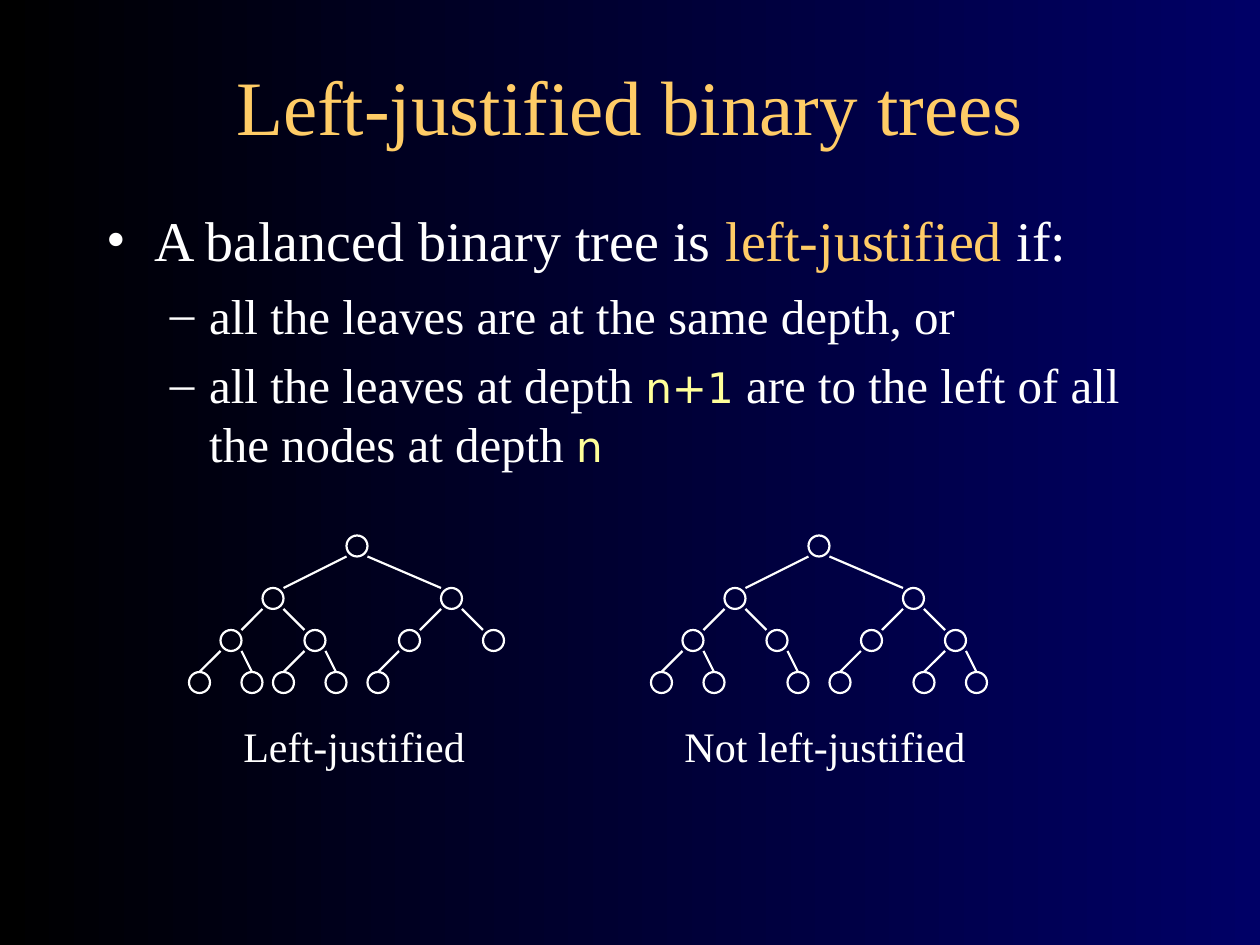
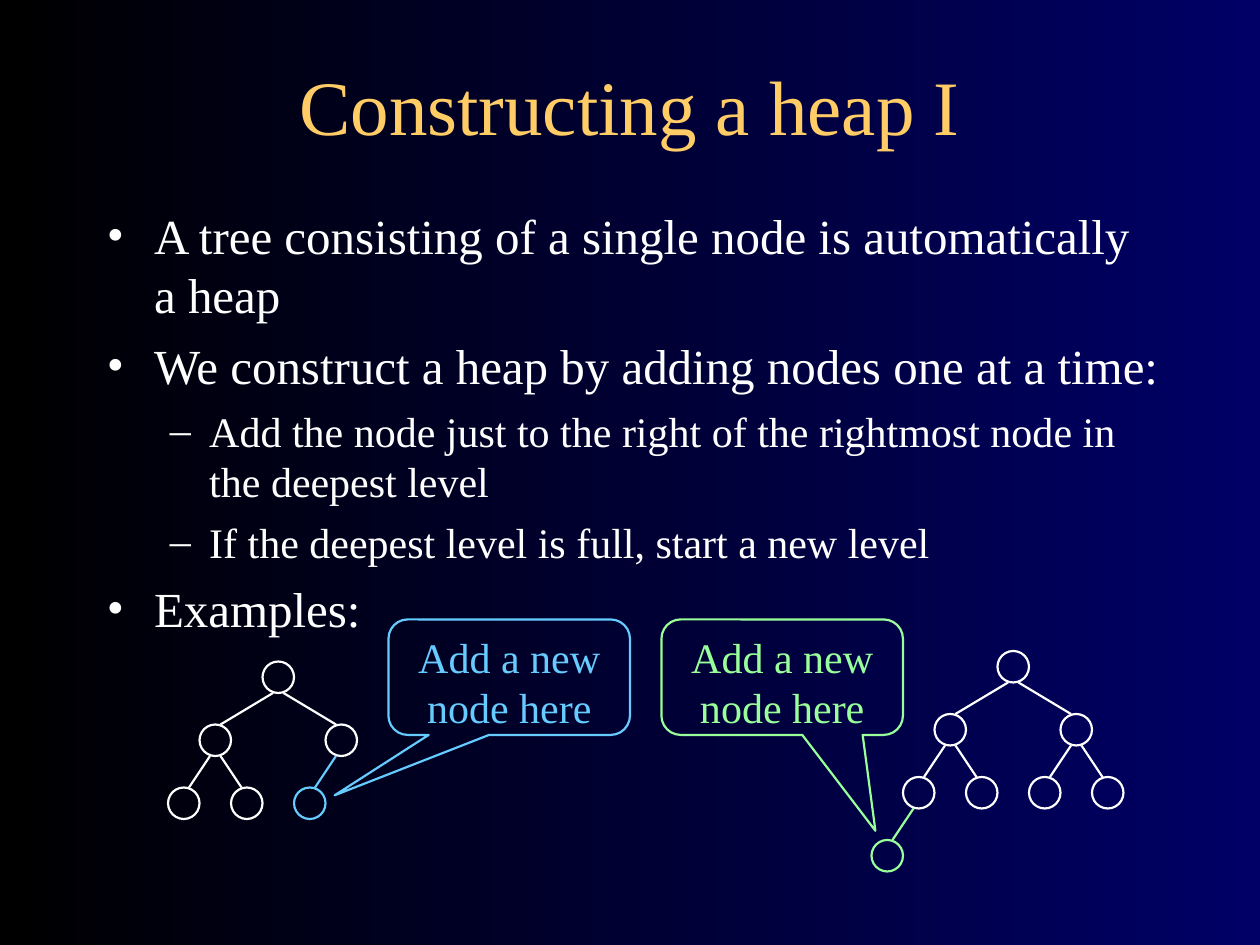
"""Two lecture slides on left-justified binary trees and heap construction."""
import pptx
import pptx.util
import pptx.dml.color
import pptx.enum.shapes
import pptx.enum.text
import pptx.oxml
import pptx.oxml.ns
from lxml import etree

Pt = pptx.util.Pt
SHAPE = pptx.enum.shapes.MSO_SHAPE
ALIGN = pptx.enum.text.PP_ALIGN
ANCHOR = pptx.enum.text.MSO_ANCHOR

COLORS = {"dark": "000000", "navy": "000066", "gold": "FFCC66", "white": "FFFFFF",
          "yellow": "FFFF99", "blue": "66CCFF", "green": "99FF99"}
SERIF, CODE = "Times New Roman", "DejaVu Sans"
LINE_WIDTH = 1.25
LEVELS = [("•", 27, 27), ("–", 58.5, 22.5)]

JUSTIFIED_BODY = [
    (0, 32, 8, [("A balanced binary tree is ", "white"), ("left-justified", "gold"),
                (" if:", "white")]),
    (1, 28, 7, [("all the leaves are at the same depth, or", "white")]),
    (1, 28, 6, [("all the leaves at depth ", "white"), ("n+1", "yellow"),
                (" are to the left of all the nodes at depth ", "white"), ("n", "yellow")]),
]
HEAP_BODY = [
    (0, 28, 7, [("A tree consisting of a single node is automatically a heap", "white")]),
    (0, 28, 7, [("We construct a heap by adding nodes one at a time:", "white")]),
    (1, 24, 6, [("Add the node just to the right of the rightmost node in the deepest level",
                 "white")]),
    (1, 24, 6, [("If the deepest level is full, start a new level", "white")]),
    (0, 28, 7, [("Examples:", "white")]),
]

SMALL = {"size": 12, "parent_inset": 0, "child_inset": [0, 0, 0, 6],
         "level_y": [0, 30, 54, 78],
         "dx": {"": 0, "L": -48, "R": 54, "LL": -72, "LR": -24, "RL": 30, "RR": 78,
                "LLL": -90, "LLR": -60, "LRL": -42, "LRR": -12, "RLL": 12,
                "RRL": 60, "RRR": 90}}
LARGE = {"size": 18, "parent_inset": 6, "child_inset": [6, 6, 6, 6],
         "level_y": [0, 36, 72, 108],
         "dx": {"": 0, "L": -36, "R": 36, "LL": -54, "LR": -18, "RL": 18, "RR": 54,
                "LLL": -72}}

INNER = ["", "L", "R", "LL", "LR", "RL", "RR"]
JUSTIFIED_TREES = [
    ("Left-justified", (132, 408, 150, 36), (198, 306),
     INNER + ["LLL", "LLR", "LRL", "LRR", "RLL"]),
    ("Not left-justified", (384, 408, 192, 36), (462, 306),
     INNER + ["LLL", "LLR", "LRR", "RLL", "RRL", "RRR"]),
]
HEAPS = [
    ((150, 378), INNER[:5], "RL", "blue", (222, 354), (-0.723, 1.023, 0.167)),
    ((570, 372), INNER, "LLL", "green", (378, 354), (0.386, 1.33, 0.167)),
]
CALLOUT_TEXT, CALLOUT_SIZE = "Add a new node here", (138, 66)


def rgb(name):
    return pptx.dml.color.RGBColor.from_string(COLORS[name])


def add_run(p, text, size, color):
    r = p.add_run()
    r.text = text
    r.font.size = Pt(size)
    r.font.name = CODE if color == "yellow" else SERIF
    r.font.color.rgb = rgb(color)


def add_bullet(p, level):
    char, margin, hang = LEVELS[level]
    pPr = p._p.get_or_add_pPr()
    pPr.set("marL", str(Pt(margin)))
    pPr.set("indent", str(-Pt(hang)))
    qn = pptx.oxml.ns.qn
    color = etree.SubElement(pPr, qn("a:buClr"))
    etree.SubElement(color, qn("a:srgbClr")).set("val", COLORS["white"])
    etree.SubElement(pPr, qn("a:buFont")).set("typeface", SERIF)
    etree.SubElement(pPr, qn("a:buChar")).set("char", char)


def add_text_box(s, box):
    tf = s.shapes.add_textbox(*map(Pt, box)).text_frame
    tf.word_wrap = True
    return tf


def add_slide(prs, title, body, body_box):
    s = prs.slides.add_slide(prs.slide_layouts[5])
    sp = s.shapes.title
    sp.left, sp.top, sp.width, sp.height = map(Pt, (24, 30, 672, 60))
    tf = sp.text_frame
    tf.auto_size = pptx.enum.text.MSO_AUTO_SIZE.NONE
    tf.vertical_anchor = ANCHOR.MIDDLE
    tf.paragraphs[0].alignment = ALIGN.CENTER
    add_run(tf.paragraphs[0], title, 44, "gold")
    tf = add_text_box(s, body_box)
    for i, (level, size, before, runs) in enumerate(body):
        p = tf.add_paragraph() if i else tf.paragraphs[0]
        p.level = level
        p.space_before = Pt(before)
        add_bullet(p, level)
        for text, color in runs:
            add_run(p, text, 24 if color == "yellow" else size, color)
    return s


def add_outline(shapes, kind, box, color):
    sp = shapes.add_shape(kind, *map(Pt, box))
    sp.shadow.inherit = False
    sp.fill.background()
    sp.line.color.rgb = rgb(color)
    sp.line.width = Pt(LINE_WIDTH)
    return sp


def add_edge(shapes, start, end, color):
    line = shapes.add_connector(pptx.enum.shapes.MSO_CONNECTOR.STRAIGHT,
                                *map(Pt, start + end))
    line.line.color.rgb = rgb(color)
    line.line.width = Pt(LINE_WIDTH)
    etree.SubElement(line._element.spPr, pptx.oxml.ns.qn("a:effectLst"))


def add_tree(s, style, root, nodes, color="white"):
    """Draw nodes named by their left/right route from the root."""
    shapes = s.shapes.add_group_shape().shapes
    size = style["size"]

    def corner(node):
        return root[0] + style["dx"][node], root[1] + style["level_y"][len(node)]

    for node in nodes:
        x, y = corner(node)
        add_outline(shapes, SHAPE.OVAL, (x, y, size, size), color)
        if node:
            px, py = corner(node[:-1])
            inset, parent_inset = style["child_inset"][len(node)], style["parent_inset"]
            if node[-1] == "L":
                start, end = x + size - inset, px + parent_inset
            else:
                start, end = x + inset, px + size - parent_inset
            add_edge(shapes, (start, y), (end, py + size), color)


def add_callout(s, corner, adjustments, color):
    sp = add_outline(s.shapes, SHAPE.ROUNDED_RECTANGULAR_CALLOUT,
                     corner + CALLOUT_SIZE, color)
    for i, value in enumerate(adjustments):
        sp.adjustments[i] = value
    tf = sp.text_frame
    tf.word_wrap = True
    tf.vertical_anchor = ANCHOR.TOP
    tf.paragraphs[0].alignment = ALIGN.CENTER
    add_run(tf.paragraphs[0], CALLOUT_TEXT, 24, color)


def main():
    prs = pptx.Presentation()
    prs.slide_width, prs.slide_height = Pt(720), Pt(540)
    fill = prs.slide_master.background.fill
    fill.gradient()
    fill.gradient_angle = 0
    for stop, position, color in zip(fill.gradient_stops, (0, 1), ("dark", "navy")):
        stop.position = position
        stop.color.rgb = rgb(color)

    s = add_slide(prs, "Left-justified binary trees", JUSTIFIED_BODY, (54, 114, 612, 174))
    for label, box, root, nodes in JUSTIFIED_TREES:
        p = add_text_box(s, box).paragraphs[0]
        p.space_before = Pt(15)
        add_run(p, label, 24, "white")
        add_tree(s, SMALL, root, nodes)

    s = add_slide(prs, "Constructing a heap I", HEAP_BODY, (54, 114, 618, 276))
    for root, nodes, new_node, color, corner, adjustments in HEAPS:
        add_tree(s, LARGE, root, nodes)
        add_tree(s, LARGE, root, [new_node], color)
        add_callout(s, corner, adjustments, color)

    prs.save("out.pptx")


if __name__ == "__main__":
    main()
